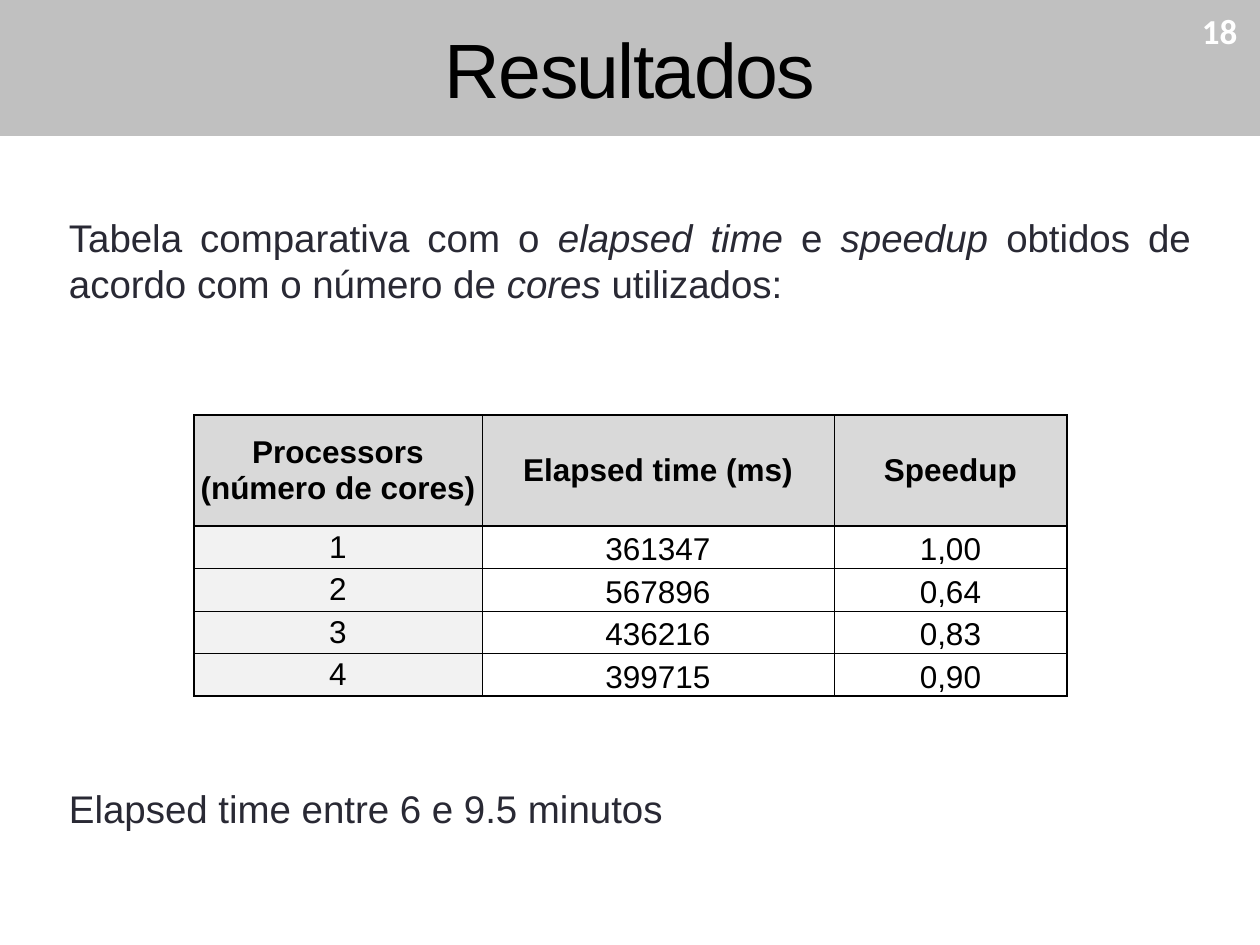
"""Build the results slide with its speedup table."""
from dataclasses import dataclass

from lxml.etree import SubElement
from pptx import Presentation
from pptx.dml.color import RGBColor
from pptx.enum.shapes import MSO_SHAPE as Shape
from pptx.enum.text import MSO_ANCHOR as Anchor, PP_ALIGN as Align
from pptx.oxml.ns import qn
from pptx.util import Pt


@dataclass(frozen=True)
class Theme:
    banner: str = "C0C0C0"
    header: str = "D9D9D9"
    first_column: str = "F2F2F2"
    black: str = "000000"
    white: str = "FFFFFF"
    body: str = "292934"
    font: str = "Arial"
    number_font: str = "Calibri"
    title_size: int = 44
    body_size: int = 22
    number_size: int = 20
    table_size: int = 18
    thick: float = 1
    thin: float = 0.5


theme = Theme()
EMU_PER_INCH, PX_PER_INCH = 914400, 126


def px(length):
    return round(length * EMU_PER_INCH / PX_PER_INCH)


def write(frame, runs, size, color=theme.black, font=theme.font, bold=False,
          align=Align.CENTER, anchor=Anchor.MIDDLE, margin=6, before=0, spacing=0, wrap=True):
    frame.word_wrap = wrap
    frame.vertical_anchor = anchor
    frame.margin_left = frame.margin_right = px(margin)
    frame.margin_top = frame.margin_bottom = px(margin)
    paragraph = frame.paragraphs[0]
    paragraph.alignment = align
    paragraph.space_before = Pt(before)
    for text, italic in runs:
        run = paragraph.add_run()
        run.text = text
        run.font.name = font
        run.font.size = Pt(size)
        run.font.bold = bold
        run.font.italic = italic
        run.font.color.rgb = RGBColor.from_string(color)
        if spacing:
            run.font._element.set("spc", str(spacing))


presentation = Presentation()
presentation.slide_width, presentation.slide_height = px(1260), px(945)
slide = presentation.slides.add_slide(presentation.slide_layouts[6])
shapes = slide.shapes

banner = shapes.add_shape(Shape.RECTANGLE, 0, 0, px(1260), px(136))
banner.shadow.inherit = False
banner.fill.solid()
banner.fill.fore_color.rgb = RGBColor.from_string(theme.banner)
banner.line.fill.background()

title = shapes.add_textbox(px(63), 0, px(1134), px(136))
write(title.text_frame, [("Resultados", False)], theme.title_size, spacing=-100)

page_number = shapes.add_textbox(px(1196), px(4), px(53), px(52))
write(page_number.text_frame, [("18", False)], theme.number_size, color=theme.white,
      font=theme.number_font, bold=True, align=Align.LEFT, wrap=False)

columns = [288, 352, 233]
row_heights = [111] + [42.5] * 4
rows = [
    ("Processors (número de cores)", "Elapsed time (ms)", "Speedup"),
    ("1", "361347", "1,00"),
    ("2", "567896", "0,64"),
    ("3", "436216", "0,83"),
    ("4", "399715", "0,90"),
]
last_row, last_column = len(rows) - 1, len(columns) - 1
table = shapes.add_table(len(rows), len(columns), px(194), px(415),
                         px(sum(columns)), px(sum(row_heights))).table
for column, width in zip(table.columns, columns):
    column.width = px(width)
for row, height in zip(table.rows, row_heights):
    row.height = px(height)

for r, values in enumerate(rows):
    for c, value in enumerate(values):
        cell = table.cell(r, c)
        is_header, is_first = r == 0, c == 0
        anchor = Anchor.MIDDLE if is_header or is_first else Anchor.BOTTOM
        write(cell.text_frame, [(value, False)], theme.table_size, bold=is_header)
        cell.vertical_anchor = anchor
        cell.margin_left = cell.margin_right = px(1)
        cell.margin_top = cell.margin_bottom = px(1)

        properties = cell._tc.get_or_add_tcPr()
        thick_edges = {"L": is_first, "R": c == last_column,
                       "T": r <= 1, "B": r in (0, last_row)}
        for edge, is_thick in thick_edges.items():
            width = Pt(theme.thick if is_thick else theme.thin)
            line = SubElement(properties, qn(f"a:ln{edge}"), w=str(width))
            SubElement(SubElement(line, qn("a:solidFill")), qn("a:srgbClr"), val=theme.black)

        if is_header or is_first:
            cell.fill.solid()
            color = theme.header if is_header else theme.first_column
            cell.fill.fore_color.rgb = RGBColor.from_string(color)
        else:
            cell.fill.background()

introduction = [
    ("Tabela comparativa com o ", False), ("elapsed time", True), (" e ", False),
    ("speedup ", True), ("obtidos de acordo com o número de ", False),
    ("cores ", True), ("utilizados:", False),
]
conclusion = [("Elapsed time entre 6 e 9.5 minutos", False)]
for top, height, runs in [(208, 136, introduction), (779, 66, conclusion)]:
    body = shapes.add_textbox(px(63), px(top), px(1134), px(height))
    write(body.text_frame, runs, theme.body_size, color=theme.body,
          align=Align.JUSTIFY, anchor=Anchor.TOP, before=5)

presentation.save("out.pptx")
